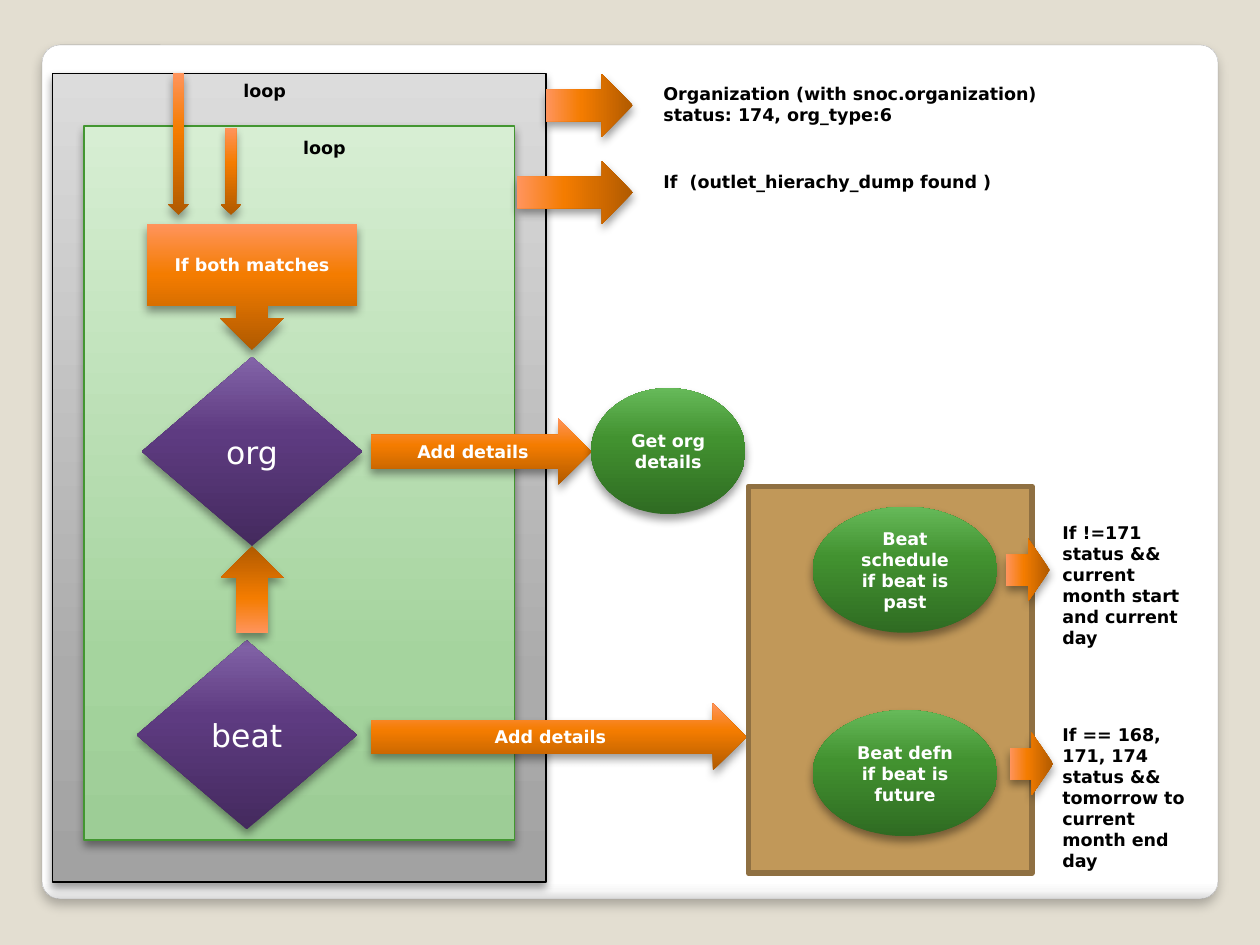
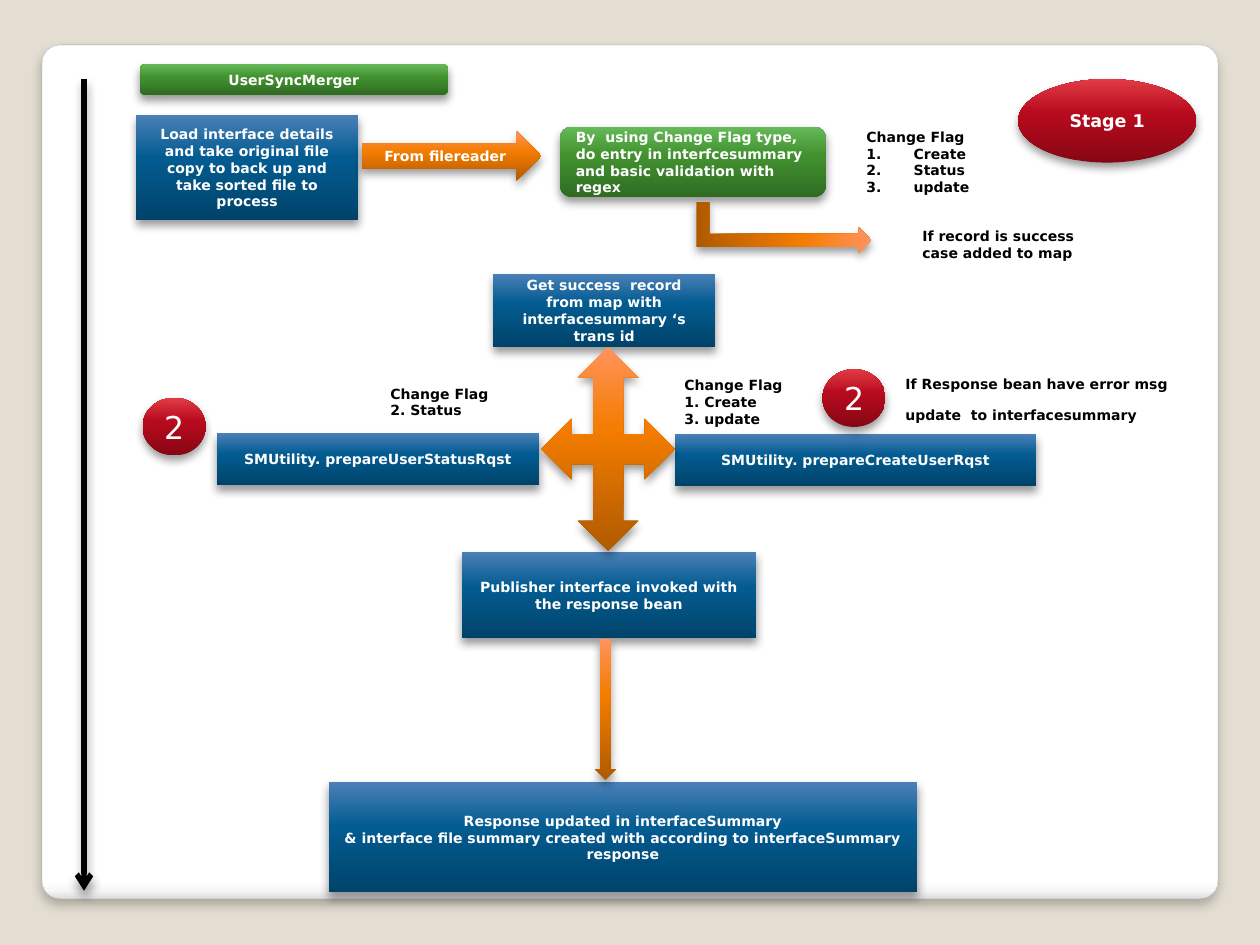
import pptx
import pptx.util
import pptx.dml.color
import pptx.enum.shapes
import pptx.enum.text
import pptx.oxml.ns
from lxml import etree

Pt = pptx.util.Pt
SHAPE = pptx.enum.shapes.MSO_SHAPE
ALIGN = pptx.enum.text.PP_ALIGN
qn = pptx.oxml.ns.qn

FONT = "DejaVu Sans"
BLACK, WHITE = "000000", "FFFFFF"
BACKDROP = "E3DED1"

# Gradient stops as (percent, colour), running from the bottom edge to the top
ORANGE = [(0, "B05A00"), (60, "F47C00"), (100, "FF945C")]
GREEN = [(0, "2F6B22"), (60, "429230"), (100, "66B959")]
PURPLE = [(0, "442A5E"), (60, "5E3B81"), (100, "8364A8")]
BLUE = [(0, "00436A"), (60, "035C91"), (100, "4A80B7")]
RED = [(0, "870614"), (60, "B80B1E"), (100, "E13C45")]
PALE_GREY = [(0, "A2A2A2"), (25, "ABABAB"), (100, "DCDCDC")]
PALE_GREEN = [(0, "9DCD96"), (25, "A5D49E"), (100, "D7EED3")]
PANEL = [(0, "DADADA"), (1, "F7F7F7"), (2, WHITE), (100, WHITE)]


def rgb(colour):
    """Turn a hex string into a colour."""
    return pptx.dml.color.RGBColor.from_string(colour)


def points(values):
    """Turn plain numbers into lengths in points."""
    return [Pt(value) for value in values]


def add_colour(parent, colour):
    """Append a colour element and return it."""
    return etree.SubElement(parent, qn("a:srgbClr"), val=colour)


def set_gradient(shape, stops):
    """Fill a shape with an upward gradient of any number of stops."""
    shape.fill.gradient()
    shape.fill.gradient_angle = 90
    stop_list = next(shape._element.iter(qn("a:gsLst")))
    for old_stop in list(stop_list):
        stop_list.remove(old_stop)
    for percent, colour in stops:
        stop = etree.SubElement(stop_list, qn("a:gs"), pos=str(percent * 1000))
        add_colour(stop, colour)


def set_shadow(shape, opacity=40, blur=5.2, distance=3):
    """Give a shape or connector a soft shadow straight below it."""
    properties = shape._element.spPr
    effects = properties.find(qn("a:effectLst"))
    if effects is None:
        effects = etree.SubElement(properties, qn("a:effectLst"))
    shadow = etree.SubElement(
        effects, qn("a:outerShdw"), blurRad=str(int(Pt(blur))),
        dist=str(int(Pt(distance))), dir="5400000", rotWithShape="0")
    etree.SubElement(add_colour(shadow, BLACK), qn("a:alpha"), val=str(opacity * 1000))


def add_run(paragraph, text, size, colour, bold=True):
    """Add one formatted run to a paragraph."""
    run = paragraph.add_run()
    run.text = text
    run.font.name = FONT
    run.font.size = Pt(size)
    run.font.bold = bold
    run.font.color.rgb = rgb(colour)


def add_paragraphs(frame, lines, size, colour, align, bold=True):
    """Write each line as a paragraph and return the paragraphs."""
    for index, line in enumerate(lines):
        paragraph = frame.paragraphs[0] if index == 0 else frame.add_paragraph()
        paragraph.alignment = align
        add_run(paragraph, line, size, colour, bold)
    return frame.paragraphs


def add_block(slide, kind, box, fill, lines=(), size=10, bold=True,
              align=ALIGN.CENTER, rotation=0, outline=None):
    """Add a gradient shape with a shadow, and optionally white text."""
    block = slide.shapes.add_shape(kind, *points(box))
    block.rotation = rotation
    block.shadow.inherit = False
    set_gradient(block, fill)
    set_shadow(block)
    if outline:
        block.line.color.rgb = rgb(outline)
        block.line.width = Pt(0.75)
    else:
        block.line.fill.background()
    add_paragraphs(block.text_frame, lines, size, WHITE, align, bold)
    return block


def add_label(slide, box, lines, size=10):
    """Add bold black text without a frame and return its paragraphs."""
    frame = slide.shapes.add_textbox(*points(box)).text_frame
    frame.word_wrap = True
    frame.auto_size = pptx.enum.text.MSO_AUTO_SIZE.SHAPE_TO_FIT_TEXT
    return add_paragraphs(frame, lines, size, BLACK, ALIGN.LEFT)


def number_paragraph(paragraph):
    """Number a paragraph automatically with a hanging indent."""
    properties = paragraph._p.get_or_add_pPr()
    properties.set("marL", str(int(Pt(27))))
    properties.set("indent", str(int(Pt(-27))))
    etree.SubElement(properties, qn("a:buFont"), typeface="+mj-lt")
    etree.SubElement(properties, qn("a:buAutoNum"), type="arabicPeriod")


def add_timeline(slide, x, top, bottom):
    """Add the thick downward time arrow."""
    timeline = slide.shapes.add_connector(
        pptx.enum.shapes.MSO_CONNECTOR.STRAIGHT, *points((x, top, x, bottom)))
    timeline.line.color.rgb = rgb(BLACK)
    timeline.line.width = Pt(3)
    etree.SubElement(timeline.line._get_or_add_ln(), qn("a:tailEnd"), type="arrow")
    set_shadow(timeline)


def add_base_slide(deck):
    """Add a slide with the shared backdrop and rounded white panel."""
    slide = deck.slides.add_slide(deck.slide_layouts[6])
    slide.background.fill.solid()
    slide.background.fill.fore_color.rgb = rgb(BACKDROP)
    panel = slide.shapes.add_shape(SHAPE.ROUNDED_RECTANGLE, *points((24, 25.7, 672, 488)))
    panel.adjustments[0] = 0.021
    panel.shadow.inherit = False
    set_gradient(panel, PANEL)
    set_shadow(panel, 25, 6, 4)
    panel.line.color.rgb = rgb("A4A4A4")
    panel.line.width = Pt(0.16)
    return slide


def add_beat_frame(slide):
    """Add the flat brown frame around the beat outcomes."""
    frame = slide.shapes.add_shape(SHAPE.RECTANGLE, *points((427.7, 278, 162, 221)))
    frame.shadow.inherit = False
    frame.fill.solid()
    frame.fill.fore_color.rgb = rgb("C19859")
    frame.line.color.rgb = rgb("8F7042")
    frame.line.width = Pt(3.35)


def build_loop_slide(deck):
    """Build the nested loops with the org and beat decisions."""
    slide = add_base_slide(deck)
    add_block(slide, SHAPE.RECTANGLE, (30, 42, 282, 462), PALE_GREY, outline=BLACK)
    add_block(slide, SHAPE.RECTANGLE, (48, 72, 246, 408), PALE_GREEN, outline="439631")

    for x, top in ((126, 73.2), (96, 42)):
        add_block(slide, SHAPE.DOWN_ARROW, (x, top, 12, 122.8 - top), ORANGE)
    add_block(slide, SHAPE.DOWN_ARROW_CALLOUT, (84, 128, 120, 72), ORANGE,
              ["If both matches"])
    for x, y, length in ((319, 35.3, 49.7), (310.8, 76.8, 66.2)):
        add_block(slide, SHAPE.DOWN_ARROW, (x, y, 36, length), ORANGE, rotation=270)
    add_label(slide, (372, 44, 240, 32),
              ["Organization (with snoc.organization) status: 174, org_type:6"])
    add_label(slide, (372, 94.3, 240, 19.4), ["If  (outlet_hierachy_dump found )"])

    for x, y, name in ((81, 204, "org"), (78, 366, "beat")):
        add_block(slide, SHAPE.FLOWCHART_DECISION, (x, y, 126, 108), PURPLE,
                  [name], size=18, bold=False)
    add_block(slide, SHAPE.DOWN_ARROW, (126, 312, 36, 49.7), ORANGE, rotation=180)
    for y, length in ((239, 126), (402, 214.5)):
        add_block(slide, SHAPE.RIGHT_ARROW, (212, y, length, 38.2), ORANGE, ["Add details"])

    add_block(slide, SHAPE.OVAL, (337.7, 221.8, 88.3, 72), GREEN, ["Get org details"])
    add_beat_frame(slide)
    for y, outcome in ((405.8, "Beat defn if beat is future"),
                       (289.6, "Beat schedule if beat is past")):
        add_block(slide, SHAPE.OVAL, (464.4, y, 105.5, 72), GREEN, [outcome])
    add_label(slide, (600, 294.5, 84, 80),
              ["If !=171 status && current month start and current day"])
    add_label(slide, (600, 410.2, 84, 92.2),
              ["If == 168, 171, 174 status && tomorrow to current month end day"])
    for x, y in ((569.5, 313.2), (571.5, 424)):
        add_block(slide, SHAPE.DOWN_ARROW, (x, y, 36, 25), ORANGE, rotation=270)
    for x, y in ((132, 42), (166.2, 74.8)):
        add_label(slide, (x, y, 62.5, 19.4), ["loop"])


def build_merger_slide(deck):
    """Build the first stage of the user sync flow."""
    slide = add_base_slide(deck)
    add_block(slide, SHAPE.ROUNDED_RECTANGLE, (80, 36.8, 176, 17.7), GREEN,
              ["UserSyncMerger"], size=8)
    add_timeline(slide, 48, 45.2, 509)

    steps = [
        ((77.8, 66, 126.8, 59.8),
         ["Load interface details and take original file copy to back up "
          "and take sorted file to process"]),
        ((281.8, 156.5, 127, 41.8),
         ["Get success  record from map with interfacesummary \u2018s trans id"]),
        ((124, 247.5, 184, 29.8), ["SMUtility. prepareUserStatusRqst"]),
        ((385.8, 248, 206.3, 29.8), ["SMUtility. prepareCreateUserRqst"]),
        ((264, 315.5, 168, 49.3), ["Publisher interface invoked with the response bean"]),
        ((188, 447, 336, 63),
         ["Response updated in interfaceSummary",
          "& interface file summary created with according to "
          "interfaceSummary response"]),
    ]
    for box, lines in steps:
        add_block(slide, SHAPE.RECTANGLE, box, BLUE, lines, size=8)

    add_block(slide, SHAPE.RIGHT_ARROW, (206.8, 74.8, 102.6, 28.8), ORANGE,
              ["From filereader"], size=8)
    add_block(slide, SHAPE.ROUNDED_RECTANGLE, (320, 72.5, 152, 40.2), GREEN,
              ["By  using Change Flag type, do entry in interfcesummary "
               "and basic validation with regex"], size=8, align=ALIGN.LEFT)
    add_block(slide, SHAPE.BENT_UP_ARROW, (433.2, 80, 29.5, 100), ORANGE, rotation=90)
    add_block(slide, SHAPE.QUAD_ARROW, (309.3, 198.4, 76.4, 116.5), ORANGE)
    add_block(slide, SHAPE.DOWN_ARROW, (340, 365, 12, 80.7), ORANGE)

    flags = add_label(slide, (488, 69.8, 96, 46),
                      ["Change Flag", "Create", "Status", "update"], 8)
    for flag in flags[1:]:
        number_paragraph(flag)
    add_label(slide, (520, 126.5, 120, 26.5), ["If record is success case added to map"], 8)
    add_label(slide, (216, 216.5, 96, 36), ["Change Flag", "2. Status"], 8)
    add_label(slide, (384, 211.8, 96, 36), ["Change Flag", "1. Create", "3. update"], 8)
    error_note = add_label(slide, (510.3, 211, 168, 36),
                           ["If Response bean have error msg update  to interfacesummary"], 8)
    add_run(error_note[0], " ", 16, BLACK)

    add_block(slide, SHAPE.OVAL, (581.8, 45.2, 101.7, 47.7), RED, ["Stage 1"])
    for x, y in ((81.5, 227.3), (470, 211)):
        add_block(slide, SHAPE.OVAL, (x, y, 36, 33), RED, ["2"], size=18, bold=False)


def main():
    """Build both slides and save the deck."""
    deck = pptx.Presentation()
    deck.slide_width, deck.slide_height = points((720, 540))
    build_loop_slide(deck)
    build_merger_slide(deck)
    deck.save("out.pptx")


main()
